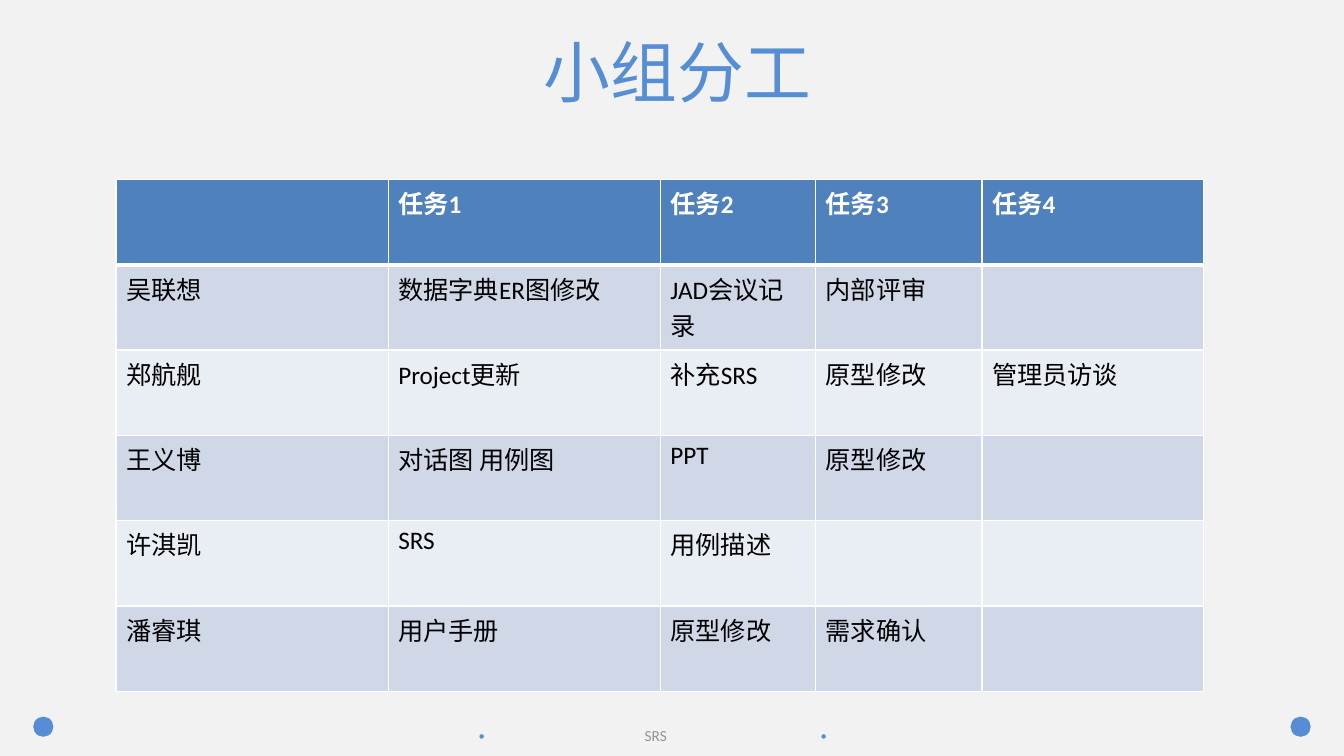
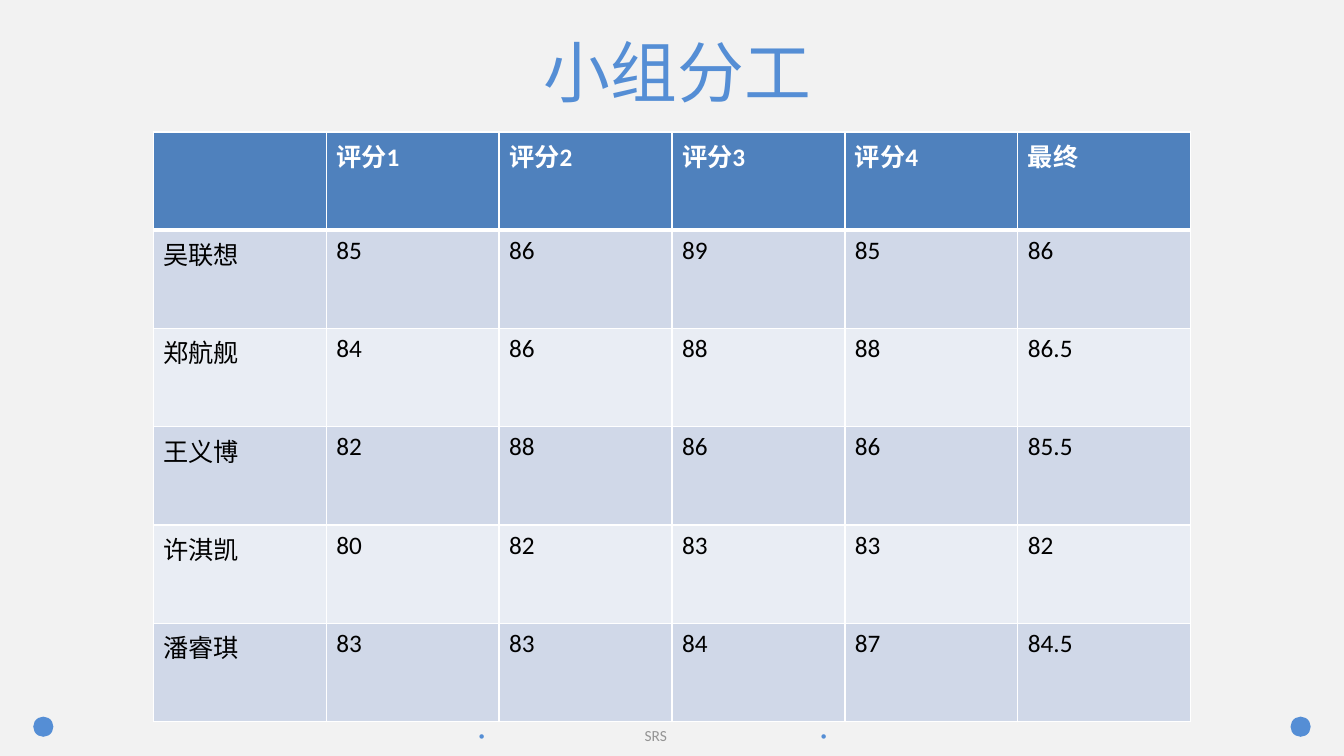
from dataclasses import dataclass
from typing import NamedTuple

from pptx import Presentation
from pptx.dml.color import RGBColor
from pptx.enum import shapes, text
from pptx.oxml import parse_xml
from pptx.oxml.ns import nsdecls
from pptx.util import Inches, Pt


@dataclass(frozen=True)
class Theme:
    background: str = "F2F2F2"
    accent: str = "558ED5"
    footer: str = "949494"
    header: str = "4F81BD"
    bands: tuple[str, str] = ("D0D8E8", "E9EDF4")
    light: str = "FFFFFF"
    dark: str = "000000"
    title_font: str = "Lato"
    body_font: str = "Calibri"
    title_size: float = 47.7
    table_size: float = 18
    footer_size: float = 11
    bullet_size: float = 9
    grid_width: float = 1
    header_rule: float = 3


THEME = Theme()


class Box(NamedTuple):
    left: float
    top: float
    width: float
    height: float

    def lengths(self) -> list[Inches]:
        return [Inches(value) for value in self]


class FooterText(NamedTuple):
    words: str
    box: Box
    size: float
    color: str
    align: text.PP_ALIGN


class GroupTable(NamedTuple):
    left: float
    top: float
    height: float
    columns: list[float]
    rows: list[list[str]]


TITLE = "小组分工"
TITLE_BOX = Box(2.05, 0.18, 9.34, 1.05)
DOTS = [Box(left, 7.11, 0.2, 0.2) for left in (12.8, 0.33)]
FOOTER = [
    *(FooterText("•", Box(left, 7.17, 0.27, 0.25), THEME.bullet_size,
                 THEME.accent, text.PP_ALIGN.LEFT) for left in (4.65, 8.04)),
    FooterText("SRS", Box(6.29, 7.15, 0.43, 0.29), THEME.footer_size,
               THEME.footer, text.PP_ALIGN.CENTER),
]

TASKS = GroupTable(1.15, 1.78, 5.08, [2.7, 2.7, 1.54, 1.65, 2.2], [
    ["", "任务1", "任务2", "任务3", "任务4"],
    ["吴联想", "数据字典ER图修改", "JAD会议记录", "内部评审", ""],
    ["郑航舰", "Project更新", "补充SRS", "原型修改", "管理员访谈"],
    ["王义博", "对话图 用例图", "PPT", "原型修改", ""],
    ["许淇凯", "SRS", "用例描述", "", ""],
    ["潘睿琪", "用户手册", "原型修改", "需求确认", ""],
])
SCORES = GroupTable(1.52, 1.31, 5.85, [1.715] * 6, [
    ["", "评分1", "评分2", "评分3", "评分4", "最终"],
    ["吴联想", "85", "86", "89", "85", "86"],
    ["郑航舰", "84", "86", "88", "88", "86.5"],
    ["王义博", "82", "88", "86", "86", "85.5"],
    ["许淇凯", "80", "82", "83", "83", "82"],
    ["潘睿琪", "83", "83", "84", "87", "84.5"],
])


def paint(fill, color: str) -> None:
    fill.solid()
    fill.fore_color.rgb = RGBColor.from_string(color)


def add_run(paragraph, words: str, size: float, color: str,
            font: str = THEME.body_font, bold: bool = False) -> None:
    run = paragraph.add_run()
    run.text = words
    run.font.name = font
    run.font.size = Pt(size)
    run.font.bold = bold
    run.font.color.rgb = RGBColor.from_string(color)


def add_title(slide) -> None:
    title = slide.shapes.title
    title.left, title.top, title.width, title.height = TITLE_BOX.lengths()
    paragraph = title.text_frame.paragraphs[0]
    paragraph.alignment = text.PP_ALIGN.CENTER
    add_run(paragraph, TITLE, THEME.title_size, THEME.accent, THEME.title_font)


def add_footer(slide) -> None:
    for part in FOOTER:
        frame = slide.shapes.add_textbox(*part.box.lengths()).text_frame
        frame.word_wrap = False
        frame.auto_size = text.MSO_AUTO_SIZE.SHAPE_TO_FIT_TEXT
        paragraph = frame.paragraphs[0]
        paragraph.alignment = part.align
        add_run(paragraph, part.words, part.size, part.color)
    for box in DOTS:
        dot = slide.shapes.add_shape(shapes.MSO_SHAPE.OVAL, *box.lengths())
        dot.shadow.inherit = False
        paint(dot.fill, THEME.accent)
        dot.line.fill.background()


def set_borders(cell, top: float, bottom: float) -> None:
    """Add the cell's borders; they must precede its fill in the XML."""
    side = THEME.grid_width
    properties = cell._tc.get_or_add_tcPr()
    for edge, width in (("L", side), ("R", side), ("T", top), ("B", bottom)):
        properties.append(parse_xml(
            f'<a:ln{edge} {nsdecls("a")} w="{Pt(width)}"><a:solidFill>'
            f'<a:srgbClr val="{THEME.light}"/></a:solidFill></a:ln{edge}>'))


def add_group_table(slide, content: GroupTable) -> None:
    box = Box(content.left, content.top, sum(content.columns), content.height)
    table = slide.shapes.add_table(
        len(content.rows), len(content.columns), *box.lengths()).table
    table.horz_banding = False
    for column, width in zip(table.columns, content.columns):
        column.width = Inches(width)
    for r, row in enumerate(content.rows):
        table.rows[r].height = Inches(content.height / len(content.rows))
        is_header = r == 0
        top = THEME.header_rule if r == 1 else THEME.grid_width
        bottom = THEME.header_rule if is_header else THEME.grid_width
        for c, words in enumerate(row):
            cell = table.cell(r, c)
            set_borders(cell, top, bottom)
            paint(cell.fill, THEME.header if is_header else THEME.bands[(r - 1) % 2])
            if words:
                add_run(cell.text_frame.paragraphs[0], words, THEME.table_size,
                        THEME.light if is_header else THEME.dark, bold=is_header)


def main() -> None:
    prs = Presentation()
    prs.slide_width, prs.slide_height = Inches(13.33), Inches(7.5)
    paint(prs.slide_master.background.fill, THEME.background)
    title_only = prs.slide_layouts.get_by_name("Title Only")
    for content in (TASKS, SCORES):
        slide = prs.slides.add_slide(title_only)
        add_footer(slide)
        add_title(slide)
        add_group_table(slide, content)
    prs.save("out.pptx")


if __name__ == "__main__":
    main()
